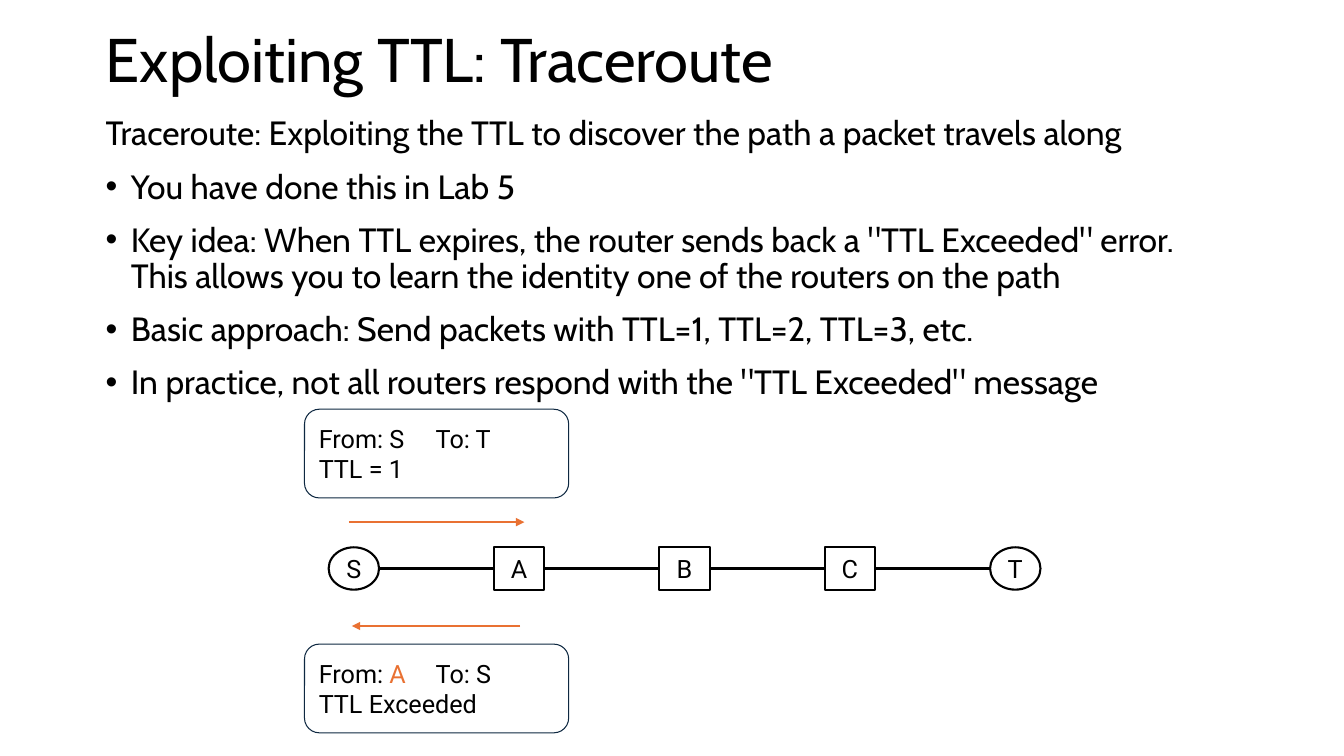
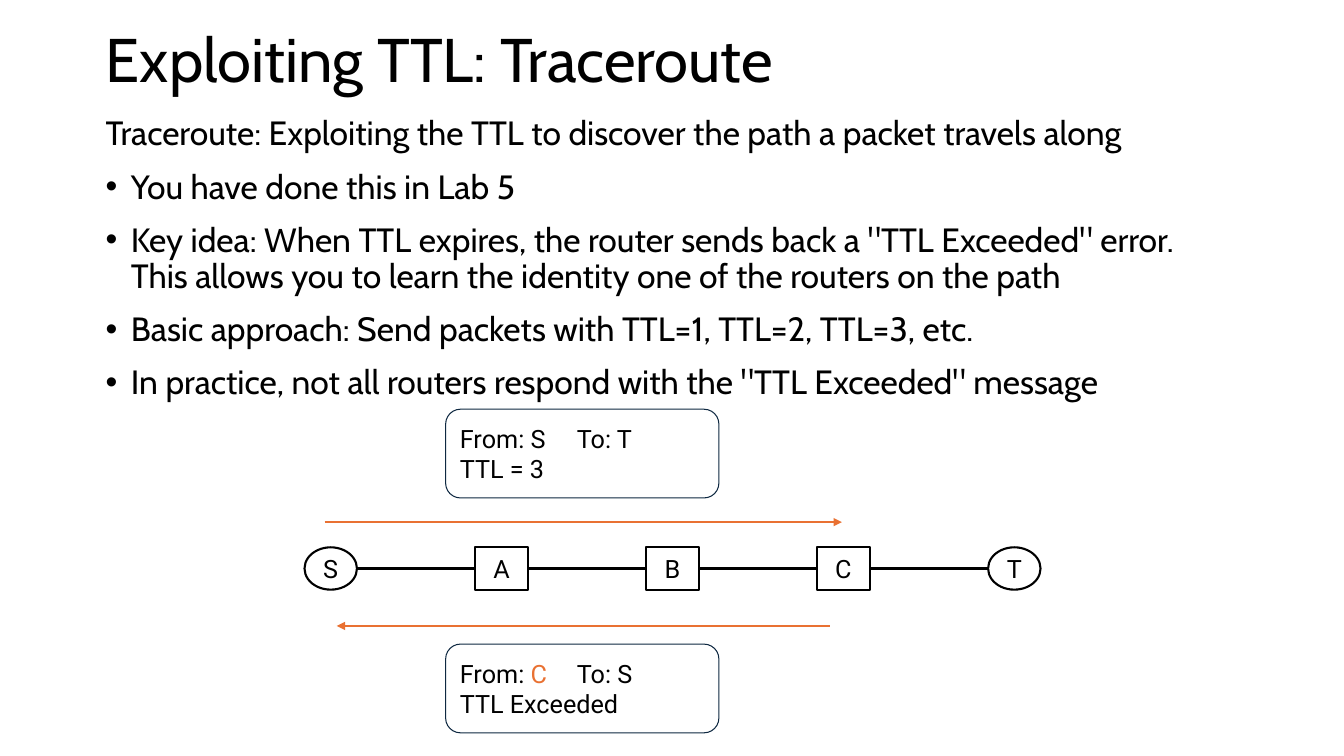
import pptx
import pptx.dml.color
import pptx.enum.shapes
import pptx.enum.text
import pptx.oxml.ns
import pptx.util
from lxml import etree

Inches = pptx.util.Inches
Pt = pptx.util.Pt
RGBColor = pptx.dml.color.RGBColor
MSO_SHAPE = pptx.enum.shapes.MSO_SHAPE
PP_ALIGN = pptx.enum.text.PP_ALIGN
qn = pptx.oxml.ns.qn

BLACK = RGBColor(0x00, 0x00, 0x00)
WHITE = RGBColor(0xFF, 0xFF, 0xFF)
ORANGE = RGBColor(0xE9, 0x71, 0x32)
NAVY = RGBColor(0x0E, 0x28, 0x41)

TITLE = "Exploiting TTL: Traceroute"
INTRODUCTION = "Traceroute: Exploiting the TTL to discover the path a packet travels along"
BULLETS = [
    "You have done this in Lab 5",
    'Key idea: When TTL expires, the router sends back a "TTL Exceeded" error.\n'
    "This allows you to learn the identity one of the routers on the path",
    "Basic approach: Send packets with TTL=1, TTL=2, TTL=3, etc.",
    'In practice, not all routers respond with the "TTL Exceeded" message',
]

TEXT_LEFT, TEXT_WIDTH = 0.95, 11.43
NODES = "SABCT"
NODES_RIGHT, NODE_TOP, NODE_HEIGHT = 10.32, 5.43, 0.42
LINK_Y = NODE_TOP + NODE_HEIGHT / 2
REQUEST_Y, REPLY_Y = 5.18, 6.21
REQUEST_TOP, REPLY_TOP, PACKET_HEIGHT = 4.06, 6.39, 0.88
TO_TAB = 1.16

STEPS = [
    {"ttl": 1, "router": "A", "nodes_left": 3.26, "node_width": 0.5,
     "packet_left": 3.02, "packet_width": 2.62,
     "request": (3.46, 5.2), "reply": (5.16, 3.49)},
    {"ttl": 3, "router": "C", "nodes_left": 3.02, "node_width": 0.52,
     "packet_left": 4.42, "packet_width": 2.71,
     "request": (3.22, 8.35), "reply": (8.23, 3.34)},
]


def add_text(paragraph, text, font_name, size, color=BLACK):
    """Add one run per line of text, with line breaks between."""
    for number, line in enumerate(text.split("\n")):
        if number:
            paragraph.add_line_break()
        run = paragraph.add_run()
        run.text = line
        run.font.name = font_name
        run.font.size = Pt(size)
        run.font.color.rgb = color


def add_line(slide, start_x, end_x, y, color):
    connector = slide.shapes.add_connector(
        pptx.enum.shapes.MSO_CONNECTOR.STRAIGHT,
        Inches(start_x), Inches(y), Inches(end_x), Inches(y))
    connector.line.width = Pt(1.5)
    connector.line.color.rgb = color
    etree.SubElement(connector._element.spPr, qn("a:effectLst"))
    return connector


presentation = pptx.Presentation()
presentation.slide_width = Inches(13.33)
presentation.slide_height = Inches(7.5)

for step in STEPS:
    slide = presentation.slides.add_slide(presentation.slide_layouts[6])

    title = slide.shapes.add_textbox(
        Inches(TEXT_LEFT), Inches(0.24), Inches(TEXT_WIDTH), Inches(0.98))
    title.text_frame.word_wrap = True
    paragraph = title.text_frame.paragraphs[0]
    paragraph.line_spacing = 0.9
    add_text(paragraph, TITLE, "Cabin", 44)

    body = slide.shapes.add_textbox(
        Inches(TEXT_LEFT), Inches(1.06), Inches(TEXT_WIDTH), Inches(3.22))
    frame = body.text_frame
    frame.word_wrap = True
    frame.margin_top = frame.margin_bottom = Inches(0.1)
    paragraph = frame.paragraphs[0]
    paragraph.line_spacing = 0.9
    paragraph.space_after = Pt(6)
    add_text(paragraph, INTRODUCTION, "Cabin", 24)
    for bullet in BULLETS:
        paragraph = frame.add_paragraph()
        paragraph.line_spacing = 0.9
        paragraph.space_before = paragraph.space_after = Pt(6)
        properties = paragraph._p.get_or_add_pPr()
        properties.set("marL", str(Inches(0.25)))
        properties.set("indent", str(-Inches(0.25)))
        etree.SubElement(properties, qn("a:buFont"), typeface="Arial")
        etree.SubElement(properties, qn("a:buChar"), char="•")
        add_text(paragraph, bullet, "Cabin", 24)

    # Network path: hosts are ellipses, routers are rectangles
    node_width = step["node_width"]
    pitch = (NODES_RIGHT - node_width - step["nodes_left"]) / (len(NODES) - 1)
    previous = None
    for index, name in enumerate(NODES):
        left = step["nodes_left"] + index * pitch
        is_router = name not in "ST"
        node = slide.shapes.add_shape(
            MSO_SHAPE.RECTANGLE if is_router else MSO_SHAPE.OVAL,
            Inches(left), Inches(NODE_TOP), Inches(node_width), Inches(NODE_HEIGHT))
        node.shadow.inherit = False
        node.fill.solid()
        node.fill.fore_color.rgb = WHITE
        node.line.color.rgb = BLACK
        node.line.width = Pt(1.5)
        frame = node.text_frame
        frame.margin_left = frame.margin_right = 0
        frame.margin_top = frame.margin_bottom = 0
        paragraph = frame.paragraphs[0]
        paragraph.alignment = PP_ALIGN.CENTER
        add_text(paragraph, name, "Roboto", 18)
        if index:
            link = add_line(slide, left - pitch + node_width, left, LINK_Y, BLACK)
            if previous:
                link.begin_connect(previous, 3)
            if is_router:
                link.end_connect(node, 1)
        previous = node if is_router else None

    for (start_x, end_x), y in ((step["request"], REQUEST_Y), (step["reply"], REPLY_Y)):
        arrow = add_line(slide, start_x, end_x, y, ORANGE)
        etree.SubElement(arrow.line._get_or_add_ln(), qn("a:tailEnd"), type="triangle")

    packets = [
        (REQUEST_TOP, "S", BLACK, "T", f"TTL = {step['ttl']}"),
        (REPLY_TOP, step["router"], ORANGE, "S", "TTL Exceeded"),
    ]
    for top, sender, sender_color, receiver, message in packets:
        packet = slide.shapes.add_shape(
            MSO_SHAPE.ROUNDED_RECTANGLE, Inches(step["packet_left"]), Inches(top),
            Inches(step["packet_width"]), Inches(PACKET_HEIGHT))
        packet.shadow.inherit = False
        packet.fill.background()
        packet.line.color.rgb = NAVY
        packet.line.width = Pt(0.75)
        frame = packet.text_frame
        frame.margin_top = frame.margin_bottom = Inches(0.1)
        address = frame.paragraphs[0]
        address.alignment = PP_ALIGN.LEFT
        tabs = etree.SubElement(address._p.get_or_add_pPr(), qn("a:tabLst"))
        etree.SubElement(tabs, qn("a:tab"), pos=str(Inches(TO_TAB)), algn="l")
        add_text(address, "From: ", "Roboto", 18)
        add_text(address, sender, "Roboto", 18, sender_color)
        add_text(address, f"\tTo: {receiver}", "Roboto", 18)
        paragraph = frame.add_paragraph()
        paragraph.alignment = PP_ALIGN.LEFT
        add_text(paragraph, message, "Roboto", 18)

presentation.save("out.pptx")
